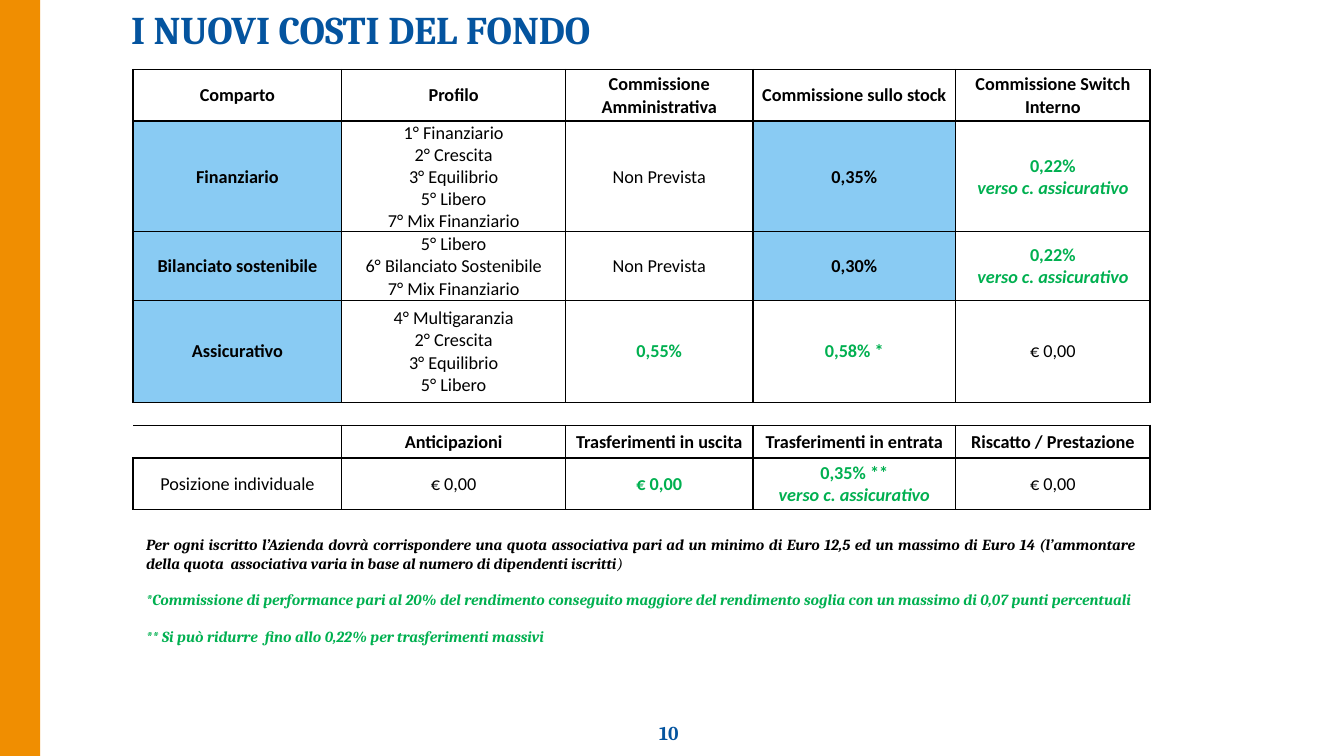
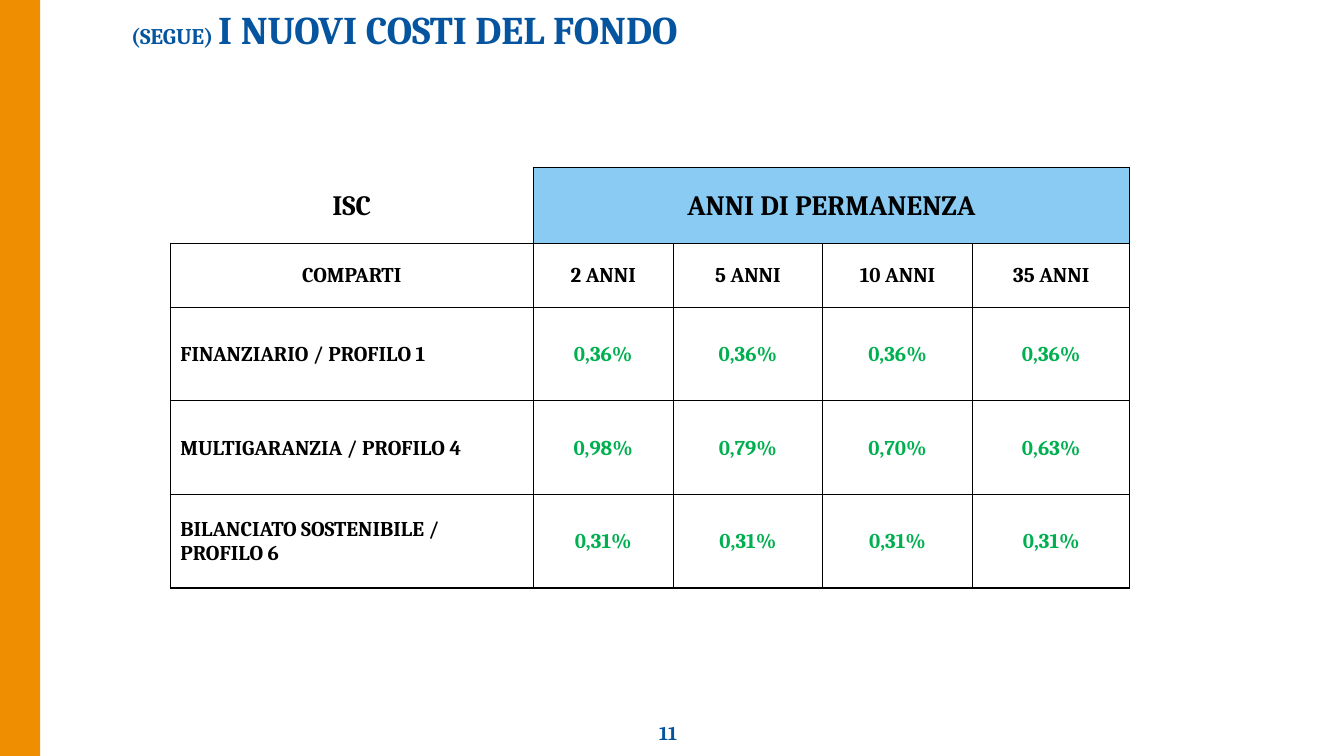
"""Build two slides on the costs of the fund."""

from lxml.etree import SubElement
from pptx import Presentation
from pptx.dml.color import RGBColor
from pptx.enum.shapes import MSO_SHAPE
from pptx.enum.text import MSO_ANCHOR, MSO_AUTO_SIZE, PP_ALIGN
from pptx.oxml.ns import qn
from pptx.util import Inches, Pt

COLOURS = {
    "title": "04549F",
    "band": "F08E01",
    "sky": "89CBF3",
    "green": "00B050",
    "black": "000000",
    "white": "FFFFFF",
}
CELL_STYLES = {
    "head": ("white", "black", True),
    "key": ("sky", "black", True),
    "plain": ("white", "black", False),
    "rate": ("white", "green", True),
}
COLUMNS, ROWS = 160, 90
SERIF, SANS = "Cambria", "Calibri"
NO_GRID_STYLE = "{2D5ABB26-0587-4C30-8999-92F81FD0307C}"
HEADING = "I NUOVI COSTI DEL FONDO"
TOWARDS = "verso c. assicurativo"
GAP = ("plain", "")


class FundDeck:
    """Hold the shared style and the current slide."""

    def __init__(self):
        """Start an empty widescreen deck."""
        self.deck = Presentation()
        self.deck.slide_width = Inches(13.333)
        self.deck.slide_height = Inches(7.5)
        self.page = None

    def across(self, columns):
        """Turn grid columns into a length."""
        return round(self.deck.slide_width * columns / COLUMNS)

    def down(self, rows):
        """Turn grid rows into a length."""
        return round(self.deck.slide_height * rows / ROWS)

    def frame(self, left, top, width, height):
        """Turn a grid area into a position and a size."""
        return self.across(left), self.down(top), self.across(width), self.down(height)

    def style(self, span, size, colour, bold=True, italic=False, name=SERIF):
        """Format one run."""
        font = span.font
        font.name, font.size, font.bold, font.italic = name, Pt(size), bold, italic
        font.color.rgb = RGBColor.from_string(COLOURS[colour])

    def paint(self, target, colour):
        """Give a shape or a cell a solid fill."""
        target.fill.solid()
        target.fill.fore_color.rgb = RGBColor.from_string(COLOURS[colour])

    def add_page(self, title, number):
        """Add a slide with its band, title and number."""
        self.page = self.deck.slides.add_slide(self.deck.slide_layouts[5])
        self.band()
        self.title(title)
        self.number(number)

    def band(self):
        """Draw the coloured band on the left edge."""
        band = self.page.shapes.add_shape(MSO_SHAPE.RECTANGLE, *self.frame(0, 0, 4.8, ROWS))
        band.shadow.inherit = False
        self.paint(band, "band")
        band.line.fill.background()

    def title(self, spans):
        """Place the title and write its sized spans."""
        box = self.page.shapes.title
        box.left, box.top, box.width, box.height = self.frame(14.4, 0, 141.24, 6.84)
        frame = box.text_frame
        frame.auto_size = MSO_AUTO_SIZE.NONE
        frame.vertical_anchor = MSO_ANCHOR.MIDDLE
        para = frame.paragraphs[0]
        para.alignment = PP_ALIGN.LEFT
        for text, size in spans:
            span = para.add_run()
            span.text = text
            self.style(span, size, "title")

    def number(self, number):
        """Write the page number at the foot."""
        box = self.page.shapes.add_textbox(*self.frame(77.28, 85.2, 5.28, 4.68))
        box.text_frame.text = str(number)
        self.style(box.text_frame.paragraphs[0].runs[0], 14, "title")

    def notes(self, area, notes):
        """Write justified italic notes, each a colour and its spans."""
        box = self.page.shapes.add_textbox(*self.frame(*area))
        frame = box.text_frame
        frame.word_wrap = True
        frame.margin_left = frame.margin_right = self.across(1.56)
        frame.margin_top = frame.margin_bottom = self.down(1.56)
        for index, (colour, spans) in enumerate(notes):
            para = frame.add_paragraph() if index else frame.paragraphs[0]
            para.alignment = PP_ALIGN.JUSTIFY
            if index:
                para.space_before = Pt(13)
            for text, bold in spans:
                span = para.add_run()
                span.text = text
                self.style(span, 11, colour, bold, italic=True)

    def borders(self, cell, sides):
        """Draw black lines on the named sides of a cell."""
        properties = cell._tc.get_or_add_tcPr()
        for side in sides:
            line = SubElement(properties, qn(f"a:ln{side}"), w=str(Pt(1)))
            fill = SubElement(line, qn("a:solidFill"))
            SubElement(fill, qn("a:srgbClr"), val=COLOURS["black"])

    def cell(self, cell, content, size, name, sides):
        """Write one cell, its second green line in italics."""
        kind, text = content
        fill, colour, bold = CELL_STYLES[kind]
        self.borders(cell, sides)
        self.paint(cell, fill)
        cell.vertical_anchor = MSO_ANCHOR.MIDDLE
        cell.margin_left = cell.margin_right = self.across(0.12)
        cell.margin_top, cell.margin_bottom = self.down(0.12), 0
        cell.text_frame.text = text
        for index, para in enumerate(cell.text_frame.paragraphs):
            para.alignment = PP_ALIGN.CENTER
            for span in para.runs:
                italic = kind == "rate" and index > 0
                self.style(span, size, colour, bold, italic, name)
            if not para.runs:
                SubElement(para._p, qn("a:endParaRPr"), sz=str(size * 100))

    def table(self, corner, widths, heights, rows, size, name, open_cells):
        """Add a table; open cells list the only sides they draw."""
        area = self.frame(*corner, sum(widths), sum(heights))
        table = self.page.shapes.add_table(len(rows), len(widths), *area).table
        table.first_row = table.horz_banding = False
        table._tbl.tblPr.find(qn("a:tableStyleId")).text = NO_GRID_STYLE
        for column, width in zip(table.columns, widths):
            column.width = self.across(width)
        for row, height in zip(table.rows, heights):
            row.height = self.down(height)
        for r, contents in enumerate(rows):
            for c, content in enumerate(contents):
                sides = open_cells.get((r, c), "LRTB")
                self.cell(table.cell(r, c), content, size, name, sides)
        return table


def add_costs(fund):
    """Build the slide with the table of fees."""
    fund.add_page([(HEADING, 28)], 10)
    none, free = ("plain", "Non Prevista"), ("plain", "€ 0,00")
    switch = ("rate", f"0,22%\n{TOWARDS}")
    heads = ["Comparto", "Profilo", "Commissione Amministrativa",
             "Commissione sullo stock", "Commissione Switch Interno"]
    moves = ["", "Anticipazioni", "Trasferimenti in uscita",
             "Trasferimenti in entrata", "Riscatto / Prestazione"]
    rows = [
        [("head", text) for text in heads],
        [("key", "Finanziario"),
         ("plain", "1° Finanziario\n2° Crescita\n3° Equilibrio\n5° Libero\n7° Mix Finanziario"),
         none, ("key", "0,35%"), switch],
        [("key", "Bilanciato sostenibile"),
         ("plain", "5° Libero\n6° Bilanciato Sostenibile\n7° Mix Finanziario"),
         none, ("key", "0,30%"), switch],
        [("key", "Assicurativo"),
         ("plain", "4° Multigaranzia\n2° Crescita\n3° Equilibrio\n5° Libero"),
         ("rate", "0,55%"), ("rate", "0,58% *"), free],
        [GAP] * 5,
        [("head", text) for text in moves],
        [("plain", "Posizione individuale"), free, ("rate", "€ 0,00"),
         ("rate", f"0,35% **\n{TOWARDS}"), free],
    ]
    open_cells = {(4, c): "TB" for c in range(1, 5)} | {(4, 0): "T", (5, 0): "RB"}
    fund.table((15.84, 8.28), [24.84, 26.64, 22.32, 24.12, 23.16],
               [6.12, 13.2, 8.16, 12.12, 2.75, 3.9, 6.12], rows, 13, SANS, open_cells)
    fund.notes((15.84, 62.16, 121.08, 23.04), [
        ("black", [("Per ogni iscritto l’Azienda dovrà corrispondere una quota associativa "
                    "pari ad un minimo di Euro 12,5 ed un massimo di Euro 14 (l’ammontare "
                    "della quota  associativa varia in base al numero di dipendenti iscritti",
                    True), (")", False)]),
        ("green", [("*Commissione di performance pari al 20% del rendimento conseguito "
                    "maggiore del rendimento soglia con un massimo di 0,07 punti percentuali",
                    True)]),
        ("green", [("** Si può ridurre  fino allo 0,22% per trasferimenti massivi", True)]),
    ])


def add_indicators(fund):
    """Build the slide with the cost indicator by years."""
    fund.add_page([("(SEGUE) ", 16), (HEADING, 28)], 11)
    rates = {
        "FINANZIARIO / PROFILO 1": ["0,36%"] * 4,
        "MULTIGARANZIA / PROFILO 4": ["0,98%", "0,79%", "0,70%", "0,63%"],
        "BILANCIATO SOSTENIBILE /\nPROFILO 6": ["0,31%"] * 4,
    }
    heads = ["COMPARTI"] + [f"{years} ANNI" for years in (2, 5, 10, 35)]
    rows = [[("head", "ISC"), ("key", "ANNI DI PERMANENZA")] + [("key", "")] * 3,
            [("head", text) for text in heads]]
    rows += [[("head", label)] + [("rate", value) for value in values]
             for label, values in rates.items()]
    table = fund.table((20.28, 19.92), [43.2, 16.68, 17.76, 17.88, 18.72],
                       [9.08, 7.6] + [11.14] * 3, rows, 15, SERIF, {(0, 0): "RB"})
    table.cell(0, 1).merge(table.cell(0, 4))
    for c in (0, 1):
        table.cell(0, c).text_frame.paragraphs[0].runs[0].font.size = Pt(20)
    for r in range(2, len(rows)):
        label = table.cell(r, 0)
        label.margin_left = fund.across(1.2)
        for para in label.text_frame.paragraphs:
            para.alignment = PP_ALIGN.LEFT


def main():
    """Build and save the deck."""
    fund = FundDeck()
    add_costs(fund)
    add_indicators(fund)
    fund.deck.save("out.pptx")


if __name__ == "__main__":
    main()
